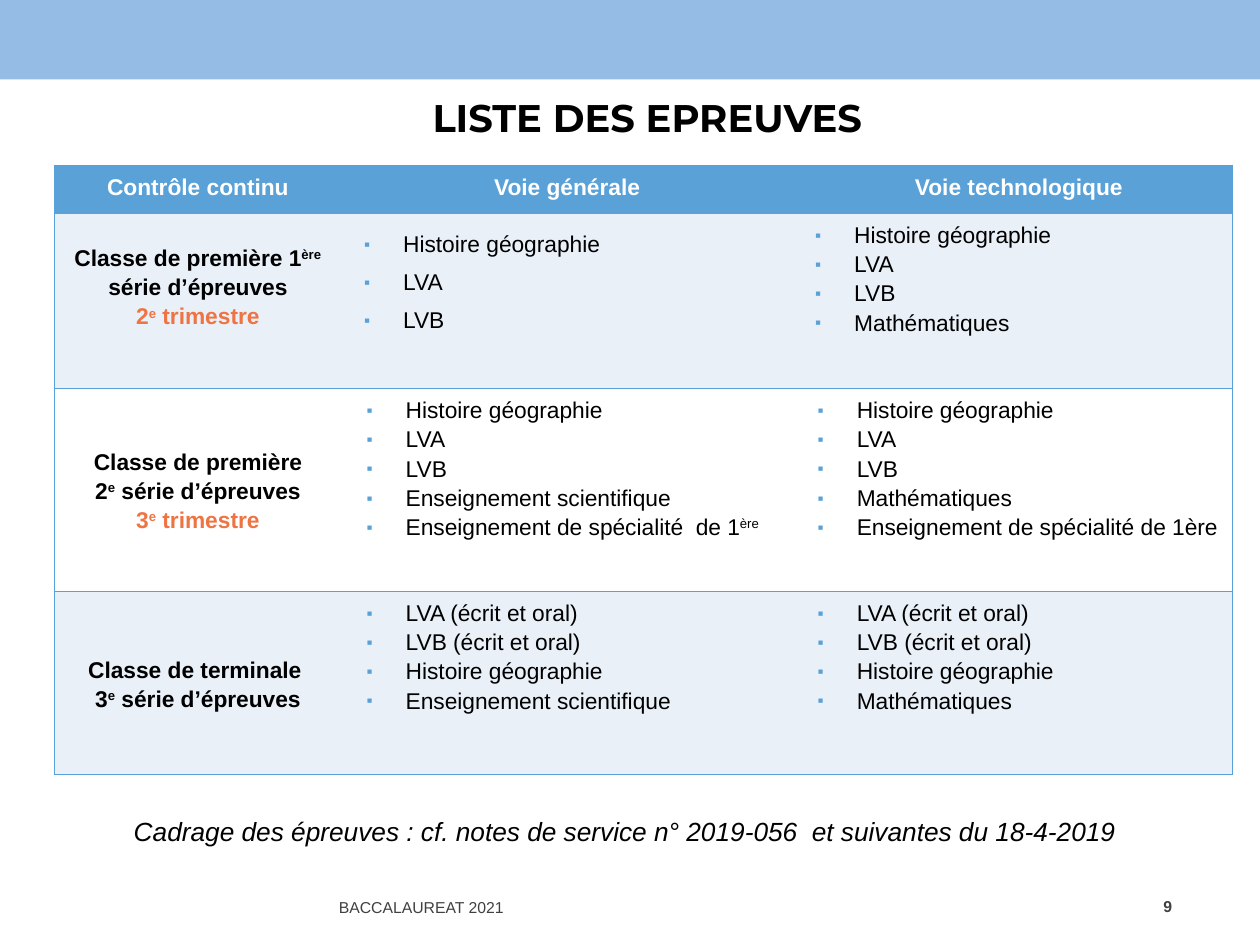
from lxml.etree import SubElement
from pptx import Presentation
from pptx.dml.color import RGBColor
from pptx.enum.shapes import MSO_SHAPE
from pptx.enum.text import MSO_ANCHOR, PP_ALIGN
from pptx.oxml.ns import qn
from pptx.util import Inches, Pt


def rgb(color):
    return RGBColor.from_string(color)


def add_text(s, box, text, size, align, anchor, font="Arial", color="000000", bold=False, italic=False):
    sp = s.shapes.add_textbox(*[Inches(v) for v in box])
    tf = sp.text_frame
    tf.word_wrap = True
    tf.vertical_anchor = anchor
    tf.text = text
    p = tf.paragraphs[0]
    p.alignment = align
    f = p.runs[0].font
    f.name, f.size, f.bold, f.italic = font, Pt(size), bold, italic
    f.color.rgb = rgb(color)
    return p


BLUE = "5AA1D8"
PALE = "EAF0F8"
WHITE = "FFFFFF"

prs = Presentation()
prs.slide_width = Inches(10)
prs.slide_height = Inches(7.5)
s = prs.slides.add_slide(prs.slide_layouts[6])

band = s.shapes.add_shape(MSO_SHAPE.RECTANGLE, 0, 0, Inches(10), Inches(0.63))
band.shadow.inherit = False
band.fill.solid()
band.fill.fore_color.rgb = rgb("95BCE5")
band.line.fill.background()

add_text(s, (0.87, 0.39, 8.62, 1.08), "LISTE DES EPREUVES ", 22, PP_ALIGN.CENTER, MSO_ANCHOR.MIDDLE,
         font="Montserrat", bold=True)
p = add_text(s, (2.59, 6.9, 3.88, 0.56), "BACCALAUREAT 2021", 9, PP_ALIGN.LEFT, MSO_ANCHOR.MIDDLE,
             color="404040")
p.line_spacing = Pt(13.2)
add_text(s, (8.91, 6.99, 0.49, 0.4), "9", 9, PP_ALIGN.RIGHT, MSO_ANCHOR.MIDDLE, color="404040", bold=True)
add_text(s, (0.43, 6.42, 9.06, 0.35),
         "Cadrage des épreuves : cf. notes de service n° 2019-056  et suivantes du 18-4-2019",
         15, PP_ALIGN.CENTER, MSO_ANCHOR.TOP, italic=True)

rows = [
    [["Contrôle continu"], ["Voie générale"], ["Voie technologique"]],
    [["Classe de première 1^ère^ série d’épreuves", "2^e^ trimestre"],
     ["Histoire géographie", "LVA", "LVB"],
     ["Histoire géographie", "LVA", "LVB", "Mathématiques"]],
    [["Classe de première", "2^e^ série d’épreuves", "3^e^ trimestre"],
     ["Histoire géographie", "LVA", "LVB", "Enseignement scientifique",
      "Enseignement de spécialité  de 1^ère"],
     ["Histoire géographie", "LVA", "LVB", "Mathématiques", "Enseignement de spécialité de 1ère"]],
    [["Classe de terminale ", "3^e^ série d’épreuves"],
     ["LVA (écrit et oral)", "LVB (écrit et oral)", "Histoire géographie", "Enseignement scientifique"],
     ["LVA (écrit et oral)", "LVB (écrit et oral)", "Histoire géographie", "Mathématiques"]],
]
widths = [2.28, 3.58, 3.49]
heights = [0.38, 1.39, 1.61, 1.46]

frame = s.shapes.add_table(4, 3, Inches(0.43), Inches(1.31), Inches(sum(widths)), Inches(sum(heights)))
table = frame.table
table.horz_banding = False
table._tbl.tblPr.find(qn("a:tableStyleId")).text = "{2D5ABB26-0587-4C30-8999-92F81FD0307C}"
for column, width in zip(table.columns, widths):
    column.width = Inches(width)
for row, height in zip(table.rows, heights):
    row.height = Inches(height)

for i, row in enumerate(rows):
    for j, lines in enumerate(row):
        cell = table.cell(i, j)
        cell.margin_left = cell.margin_right = Inches(0.08)
        cell.margin_top = cell.margin_bottom = Inches(0.05)
        if i > 0 and j == 0:
            cell.vertical_anchor = MSO_ANCHOR.MIDDLE
        if (i, j) == (1, 0):
            cell.margin_bottom = Inches(0.28)

        sides = ["lnL"] * (j == 0) + ["lnR"] * (j == 2) + ["lnT", "lnB"]
        for side in sides:
            ln = SubElement(cell._tc.get_or_add_tcPr(), qn(f"a:{side}"), w=str(Pt(0.45)))
            SubElement(SubElement(ln, qn("a:solidFill")), qn("a:srgbClr"), val=BLUE)
        cell.fill.solid()
        cell.fill.fore_color.rgb = rgb([BLUE, PALE, WHITE, PALE][i])

        bulleted = i > 0 and j > 0
        tf = cell.text_frame
        for n, line in enumerate(lines):
            p = tf.paragraphs[0] if n == 0 else tf.add_paragraph()
            pPr = p._p.get_or_add_pPr()
            if bulleted:
                pPr.set("marL", str(Inches(0.41 if i == 1 else 0.43)))
                pPr.set("indent", str(Inches(-0.31)))
                SubElement(SubElement(pPr, qn("a:buClr")), qn("a:srgbClr"), val=BLUE)
                SubElement(pPr, qn("a:buSzPct"), val="75000")
                SubElement(pPr, qn("a:buFont"), typeface="Arial")
                SubElement(pPr, qn("a:buChar"), char="▪")
            elif j == 2:
                pPr.set("marL", str(Inches(0.1)))
            p.alignment = PP_ALIGN.JUSTIFY if bulleted else PP_ALIGN.CENTER
            p.line_spacing = 1.5 if (i, j) == (1, 1) else 1.15
            color = WHITE if i == 0 else "EE7444" if line.endswith("trimestre") else "000000"
            for k, part in enumerate(line.split("^")):
                r = p.add_run()
                r.text = part
                r.font.name, r.font.size, r.font.bold = "Arial", Pt(13), not bulleted
                r.font.color.rgb = rgb(color)
                if k == 1:
                    r._r.get_or_add_rPr().set("baseline", "30000")

prs.save("out.pptx")
